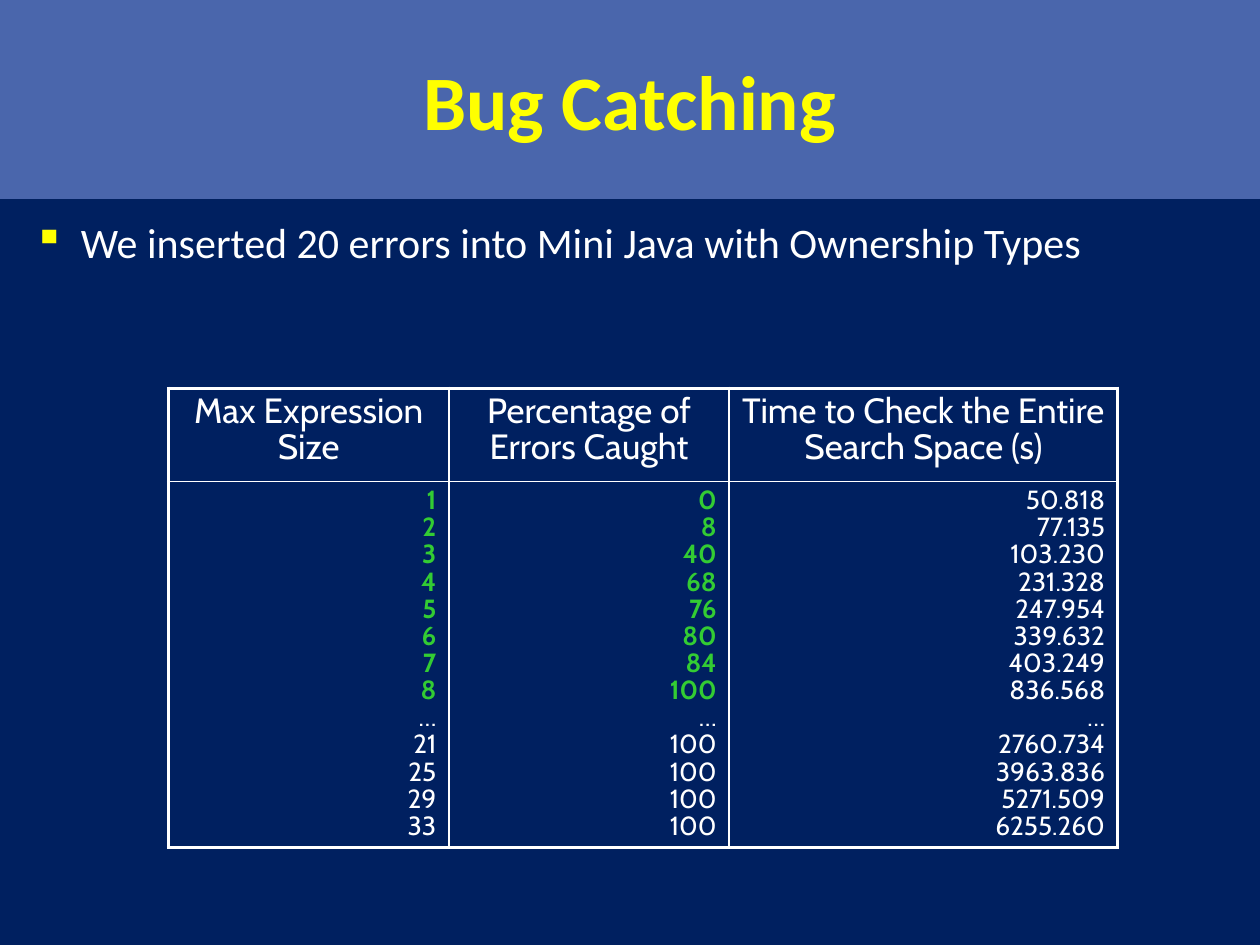
from dataclasses import dataclass
from typing import Any, NamedTuple

from lxml.etree import SubElement
from pptx import Presentation
from pptx.dml.color import RGBColor
from pptx.enum.shapes import MSO_SHAPE as Shape
from pptx.enum.text import MSO_ANCHOR as Anchor, PP_ALIGN as Align
from pptx.oxml.ns import qn
from pptx.util import Cm, Pt


@dataclass(frozen=True)
class Theme:
    background: str = "002060"
    banner: str = "4A66AC"
    accent: str = "FFFF00"
    text: str = "FFFFFF"
    highlight: str = "33CC33"
    heading_font: str = "Calibri"
    table_font: str = "Cabin"
    title_size: float = 44
    body_size: float = 24
    header_size: float = 20
    value_size: float = 15
    outer_line: float = 2.25
    inner_line: float = 1
    table_spacing: float = 0.85


class Column(NamedTuple):
    header: str
    width: float
    values: list[str]
    highlighted: int


THEME = Theme()
ROW_HEIGHTS = (1.88, 7.37)
COLUMNS = [
    Column("Max Expression Size", 5.65,
           "1 2 3 4 5 6 7 8 … 21 25 29 33".split(), 8),
    Column("Percentage of Errors Caught", 5.65,
           "0 8 40 68 76 80 84 100 … 100 100 100 100".split(), 8),
    Column("Time to Check the Entire Search Space (s)", 7.83,
           ("50.818 77.135 103.230 231.328 247.954 339.632 403.249 836.568 … "
            "2760.734 3963.836 5271.509 6255.260").split(), 0),
]


def write_paragraph(paragraph: Any, text: str, color: str,
                    font_format: dict[str, Any], paragraph_format: dict[str, Any]) -> None:
    for name, value in paragraph_format.items():
        setattr(paragraph, name, value)
    run = paragraph.add_run()
    run.text = text
    for name, value in font_format.items():
        setattr(run.font, name, value)
    run.font.color.rgb = RGBColor.from_string(color)


def add_title(slide: Any, text: str) -> None:
    banner = slide.shapes.add_shape(Shape.RECTANGLE, 0, 0, Cm(25.4), Cm(4.01))
    banner.shadow.inherit = False
    banner.fill.solid()
    banner.fill.fore_color.rgb = RGBColor.from_string(THEME.banner)
    banner.line.fill.background()
    banner.text_frame.vertical_anchor = Anchor.MIDDLE
    write_paragraph(
        banner.text_frame.paragraphs[0], text, THEME.accent,
        {"name": THEME.heading_font, "size": Pt(THEME.title_size), "bold": True},
        {"alignment": Align.CENTER})


def add_bullet(paragraph: Any, character: str, color: str) -> None:
    properties = paragraph._p.get_or_add_pPr()
    properties.set("marL", str(Cm(0.95)))
    properties.set("indent", str(Cm(-0.95)))
    bullet_color = SubElement(properties, qn("a:buClr"))
    SubElement(bullet_color, qn("a:srgbClr"), val=color)
    SubElement(properties, qn("a:buChar"), char=character)


def add_body(slide: Any, text: str) -> None:
    frame = slide.shapes.add_textbox(Cm(0.43), Cm(4.24), Cm(24.55), Cm(14.6)).text_frame
    frame.word_wrap = True
    paragraph = frame.paragraphs[0]
    add_bullet(paragraph, "▪", THEME.accent)
    write_paragraph(paragraph, text, THEME.text,
                    {"name": THEME.heading_font, "size": Pt(THEME.body_size)}, {})


def set_borders(cell: Any, outer_sides: set[str]) -> None:
    properties = cell._tc.get_or_add_tcPr()
    for side in "LRTB":
        width = THEME.outer_line if side in outer_sides else THEME.inner_line
        line = SubElement(properties, qn(f"a:ln{side}"), w=str(Pt(width)))
        fill = SubElement(line, qn("a:solidFill"))
        SubElement(fill, qn("a:srgbClr"), val=THEME.text)


def add_results_table(slide: Any, columns: list[Column]) -> None:
    table = slide.shapes.add_table(
        len(ROW_HEIGHTS), len(columns), Cm(3.4), Cm(7.83),
        Cm(sum(column.width for column in columns)), Cm(sum(ROW_HEIGHTS))).table
    table.first_row = False
    table.horz_banding = False
    for row, height in zip(table.rows, ROW_HEIGHTS):
        row.height = Cm(height)

    header_font = {"name": THEME.table_font, "size": Pt(THEME.header_size)}
    value_font = {"name": THEME.table_font, "size": Pt(THEME.value_size)}
    header_layout = {"alignment": Align.CENTER, "line_spacing": THEME.table_spacing}
    value_layout = {"alignment": Align.RIGHT, "line_spacing": THEME.table_spacing}

    for index, column in enumerate(columns):
        table.columns[index].width = Cm(column.width)
        header, body = table.cell(0, index), table.cell(1, index)
        sides = {0: {"L"}, len(columns) - 1: {"R"}}.get(index, set())
        for cell, edge in ((header, "T"), (body, "B")):
            set_borders(cell, sides | {edge})
            cell.fill.background()

        write_paragraph(header.text_frame.paragraphs[0], column.header, THEME.text,
                        header_font, header_layout)
        frame = body.text_frame
        for position, value in enumerate(column.values):
            paragraph = frame.add_paragraph() if position else frame.paragraphs[0]
            bold = position < column.highlighted
            write_paragraph(paragraph, value, THEME.highlight if bold else THEME.text,
                            value_font | {"bold": bold}, value_layout)


def main() -> None:
    presentation = Presentation()
    presentation.slide_width, presentation.slide_height = Cm(25.4), Cm(19.05)
    slide = presentation.slides.add_slide(presentation.slide_layouts[6])
    slide.background.fill.solid()
    slide.background.fill.fore_color.rgb = RGBColor.from_string(THEME.background)
    add_title(slide, "Bug Catching")
    add_body(slide, "We inserted 20 errors into Mini Java with Ownership Types")
    add_results_table(slide, COLUMNS)
    presentation.save("out.pptx")


if __name__ == "__main__":
    main()
